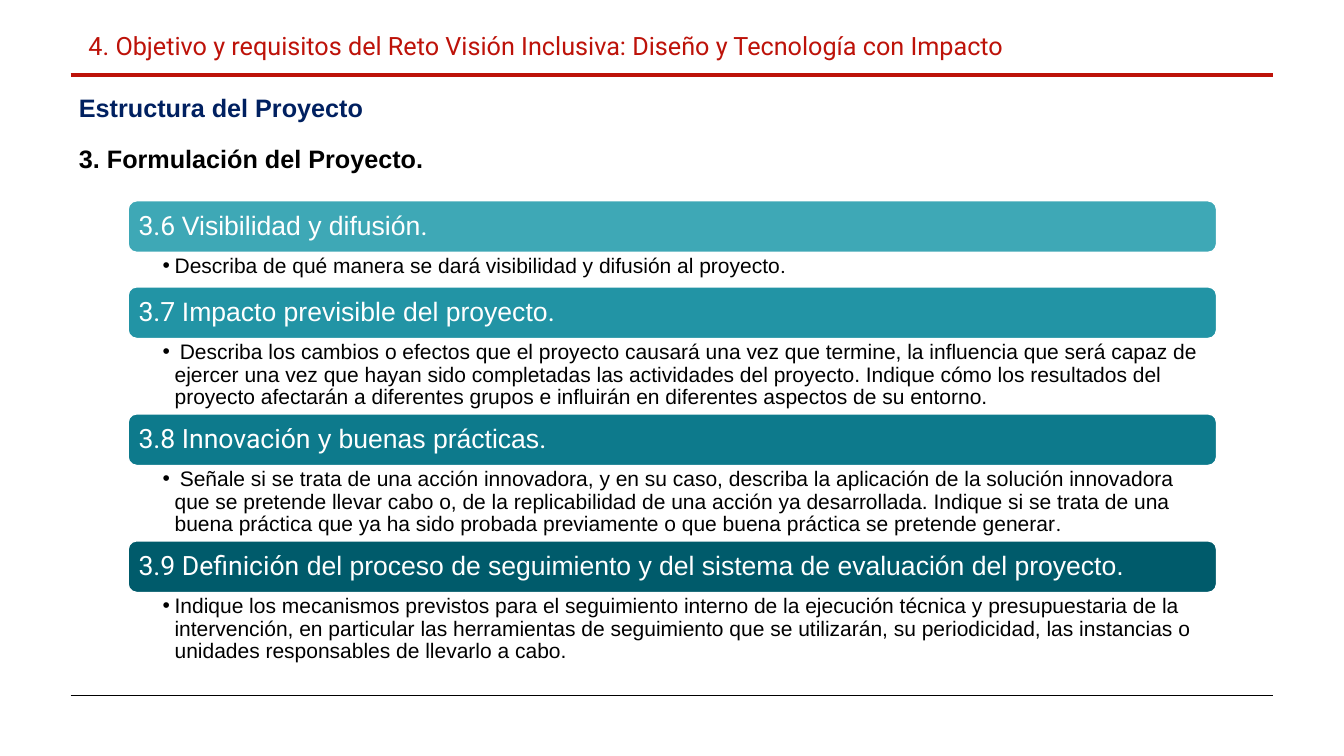
from lxml.etree import SubElement
from pptx import Presentation
from pptx.dml.color import RGBColor
from pptx.enum.shapes import MSO_CONNECTOR, MSO_SHAPE
from pptx.enum.text import MSO_ANCHOR, MSO_AUTO_SIZE, PP_ALIGN
from pptx.oxml.ns import qn
from pptx.util import Cm, Pt

SANS, ROBOTO = "Arial", "Roboto"
RED, NAVY, BLACK, WHITE = "BD1209", "002060", "000000", "FFFFFF"
BAR_HEIGHT = 1.3
SECTIONS = [
    ("3EA8B6", 0.87,
     [("3.6 ", ROBOTO), ("Visibilidad y difusión", SANS), (".", ROBOTO)],
     [("Describa de qué manera se dará visibilidad y difusión al proyecto", SANS), (".", ROBOTO)]),
    ("2294A5", 1.9,
     [("3.7 ", ROBOTO), ("Impacto previsible del proyecto", SANS), (".", ROBOTO)],
     [(" ", ROBOTO),
      ("Describa los cambios o efectos que el proyecto causará una vez que termine, la influencia "
       "que será capaz de ejercer una vez que hayan sido completadas las actividades del proyecto. "
       "Indique cómo los resultados del proyecto afectarán a diferentes grupos e influirán en "
       "diferentes aspectos de su entorno.", SANS)]),
    ("0D7A8C", 1.9,
     [("3.8 Innovación", ROBOTO), (" y buenas prácticas", SANS), (".", ROBOTO)],
     [(" ", ROBOTO),
      ("Señale si se trata de una acción innovadora, y en su caso, describa la aplicación de la "
       "solución innovadora que se pretende llevar cabo o, de la replicabilidad de una acción ya "
       "desarrollada. Indique si se trata de una buena práctica que ya ha sido probada previamente "
       "o que buena práctica se pretende generar", SANS), (".", ROBOTO)]),
    ("005B6B", 1.9,
     [("3.9 Definición", ROBOTO),
      (" del proceso de seguimiento y del sistema de evaluación del proyecto.", SANS)],
     [("Indique los mecanismos previstos para el seguimiento interno de la ejecución técnica y "
       "presupuestaria de la intervención, en particular las herramientas de seguimiento que se "
       "utilizarán, su periodicidad, las instancias o unidades responsables de llevarlo a cabo.",
       SANS)]),
]


def colour(value):
    """Turn a hex string into a colour."""
    return RGBColor.from_string(value)


def place(shape, left, top, width, height):
    """Move a shape to a box given in centimetres."""
    shape.left, shape.top, shape.width, shape.height = map(Cm, (left, top, width, height))


def set_frame(shape, anchor, margins):
    """Set anchor, wrapping and left, top, right, bottom margins; return the first paragraph."""
    frame = shape.text_frame
    frame.word_wrap, frame.auto_size = True, MSO_AUTO_SIZE.NONE
    frame.vertical_anchor = anchor
    (frame.margin_left, frame.margin_top,
     frame.margin_right, frame.margin_bottom) = map(Cm, margins)
    return frame.paragraphs[0]


def write(para, spans, size, fill, bold=False, spacing=1.0):
    """Fill a paragraph with spans of text, each in its own typeface."""
    para.alignment = PP_ALIGN.LEFT
    para.line_spacing = spacing
    para.space_before = para.space_after = Pt(0)
    para.font.size, para.font.bold = Pt(size), bold
    para.font.color.rgb = colour(fill)
    if len(spans) == 1:
        para.font.name = spans[0][1]
    for text, typeface in spans:
        span = para.add_run()
        span.text = text
        if len(spans) > 1:
            span.font.name = typeface


def add_bullet(para):
    """Give a paragraph a hanging round bullet."""
    properties = para._p.get_or_add_pPr()
    properties.set("marL", str(Cm(0.3)))
    properties.set("indent", str(Cm(-0.3)))
    bullet = SubElement(properties, qn("a:buChar"))
    bullet.set("char", "•")


def add_rule(page, left, top, width, fill, weight):
    """Draw a horizontal rule."""
    rule = page.shapes.add_connector(
        MSO_CONNECTOR.STRAIGHT, Cm(left), Cm(top), Cm(left + width), Cm(top))
    rule.line.color.rgb = colour(fill)
    rule.line.width = Pt(weight)
    SubElement(rule._element.spPr, qn("a:effectLst"))


def add_header(page, left, top, width):
    """Place the title, the rule below it and the two subheadings."""
    margins = (0.25, 0.13, 0.25, 0.13)
    title = page.shapes.title
    place(title, left + 0.2, top, 25.35, 1.02)
    write(set_frame(title, MSO_ANCHOR.TOP, margins),
          [("4. Objetivo y requisitos del Reto Visión Inclusiva: Diseño y Tecnología con Impacto",
            ROBOTO)], 18, RED)
    add_rule(page, left, top + 1.25, width, RED, 3)
    for text, offset, fill in (("Estructura del Proyecto", 1.57, NAVY),
                               ("3. Formulación del Proyecto.", 2.84, BLACK)):
        box = page.shapes.add_textbox(Cm(left - 0.04), Cm(top + offset), Cm(width - 0.4), Cm(1.02))
        write(set_frame(box, MSO_ANCHOR.TOP, margins), [(text, SANS)], 18, fill, bold=True)


def add_section(page, body, left, top, width, section):
    """Place a coloured heading bar with its description below; return the bottom edge."""
    fill, height, heading, description = section
    bar = page.shapes.add_shape(
        MSO_SHAPE.ROUNDED_RECTANGLE, Cm(left), Cm(top), Cm(width), Cm(BAR_HEIGHT))
    bar.shadow.inherit = False
    bar.fill.solid()
    bar.fill.fore_color.rgb = colour(fill)
    bar.line.color.rgb = colour(WHITE)
    bar.line.width = Pt(1)
    write(set_frame(bar, MSO_ANCHOR.MIDDLE, (0.2, 0.1, 0.2, 0.1)), heading, 19, WHITE, spacing=0.9)

    place(body, left, top + BAR_HEIGHT, width, height)
    para = set_frame(body, MSO_ANCHOR.TOP, (0.87, 0.07, 0.38, 0.07))
    add_bullet(para)
    write(para, description, 15, BLACK, spacing=0.9)
    return top + BAR_HEIGHT + height


def build_sections_slide(deck):
    """Build the slide of numbered project sections."""
    page = deck.slides.add_slide(deck.slide_layouts.get_by_name("Comparison"))
    left, width = 1.78, 30.3
    add_header(page, left, 0.63, width)
    bodies = [holder for holder in page.placeholders if holder.placeholder_format.idx > 0]
    top = 5.06
    for body, section in zip(bodies, SECTIONS):
        top = add_section(page, body, left + 1.45, top, 27.43, section)
    add_rule(page, left, 17.52, width, BLACK, 0.5)


def main():
    """Create and save the deck."""
    deck = Presentation()
    deck.slide_width, deck.slide_height = Cm(33.87), Cm(19.05)
    build_sections_slide(deck)
    deck.save("out.pptx")


if __name__ == "__main__":
    main()
